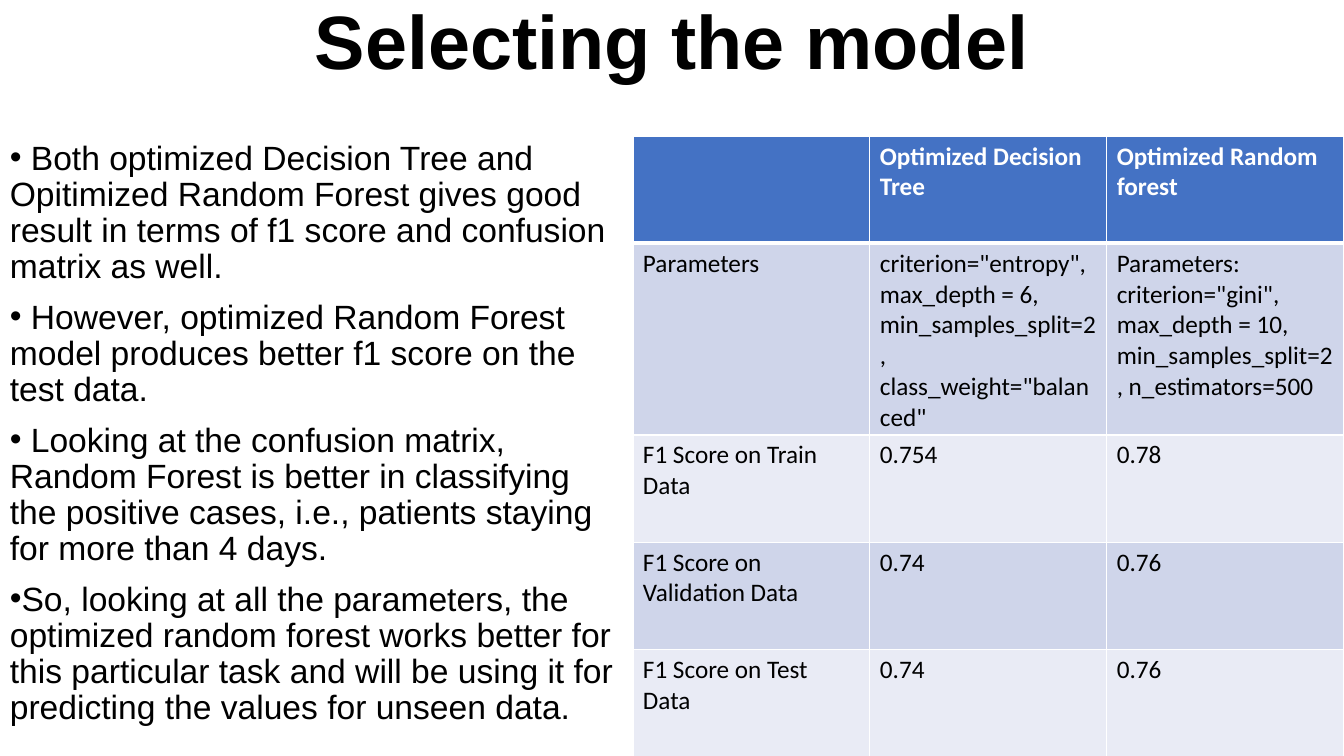
import pptx
import pptx.dml.color
import pptx.enum.text
import pptx.oxml
import pptx.oxml.ns
import pptx.util
from pptx.util import Cm

COLORS = {
    "text": "000000",
    "white": "FFFFFF",
    "header": "4472C4",
    "dark_band": "CFD5EA",
    "light_band": "E9EBF5",
}

POINTS = [
    " Both optimized Decision Tree and Opitimized Random Forest gives good result "
    "in terms of f1 score and confusion matrix as well.",
    " However, optimized Random Forest model produces better f1 score on the test data.",
    " Looking at the confusion matrix, Random Forest is better in classifying the "
    "positive cases, i.e., patients staying for more than 4 days.",
    "So, looking at all the parameters, the optimized random forest works better for "
    "this particular task and will be using it for predicting the values for unseen data.",
]

MODELS = [
    ["", "Optimized Decision Tree", "Optimized Random forest"],
    [
        "Parameters",
        'criterion="entropy", max_depth = 6, min_samples_split=2, class_weight="balanced"',
        'Parameters: criterion="gini", max_depth = 10, min_samples_split=2, n_estimators=500',
    ],
    ["F1 Score on Train Data", "0.754", "0.78"],
    ["F1 Score on Validation Data", "0.74", "0.76"],
    ["F1 Score on Test Data", "0.74", "0.76"],
]


def rgb(name):
    return pptx.dml.color.RGBColor.from_string(COLORS[name])


def element(parent, xml):
    ns = pptx.oxml.ns.nsdecls("a")
    parent.append(pptx.oxml.parse_xml(xml.replace("/>", f" {ns}/>", 1)
                                      if xml.endswith("/>") and xml.count("<") == 1
                                      else xml.replace(">", f" {ns}>", 1)))


def write(p, text, font="Arial", size=24, color="text", bold=False,
          align=None, spacing=None, before=None, bullet=None):
    r = p.add_run()
    r.text = text
    r.font.name = font
    r.font.size = pptx.util.Pt(size)
    r.font.bold = bold
    r.font.color.rgb = rgb(color)
    p.alignment = align
    p.line_spacing = spacing
    if before is not None:
        p.space_before = pptx.util.Pt(before)
    if bullet:
        pPr = p._p.get_or_add_pPr()
        pPr.set("marL", "0")
        pPr.set("indent", "0")
        element(pPr, '<a:buFont typeface="Arial"/>')
        element(pPr, f'<a:buChar char="{bullet}"/>')


class Deck:
    def __init__(self):
        self.prs = pptx.Presentation()
        self.prs.slide_width = Cm(33.87)
        self.prs.slide_height = Cm(19.05)
        self.s = self.prs.slides.add_slide(self.prs.slide_layouts[5])

    def title(self, text, left, top, width, height):
        sp = self.s.shapes.title
        sp.left, sp.top, sp.width, sp.height = map(Cm, (left, top, width, height))
        tf = sp.text_frame
        tf.margin_top = tf.margin_bottom = 0
        tf.vertical_anchor = pptx.enum.text.MSO_ANCHOR.MIDDLE
        write(tf.paragraphs[0], text, size=54, bold=True, spacing=0.9,
              align=pptx.enum.text.PP_ALIGN.CENTER)

    def bullets(self, points, left, top, width, height):
        sp = self.s.shapes.add_textbox(*map(Cm, (left, top, width, height)))
        tf = sp.text_frame
        tf.word_wrap = True
        for i, point in enumerate(points):
            p = tf.add_paragraph() if i else tf.paragraphs[0]
            write(p, point, spacing=0.9, before=10, bullet="•")

    def border(self, cell, side, width):
        element(
            cell._tc.get_or_add_tcPr(),
            f'<a:{side} w="{pptx.util.Pt(width)}"><a:solidFill>'
            f'<a:srgbClr val="{COLORS["white"]}"/></a:solidFill></a:{side}>',
        )

    def table(self, rows, left, top, col_width, heights):
        width = col_width * len(rows[0])
        frame = self.s.shapes.add_table(
            len(rows), len(rows[0]), *map(Cm, (left, top, width, sum(heights))))
        table = frame.table
        for column in table.columns:
            column.width = Cm(col_width)
        for i, (row, height) in enumerate(zip(rows, heights)):
            table.rows[i].height = Cm(height)
            band = "dark_band" if i % 2 else "light_band"
            for j, text in enumerate(row):
                cell = table.cell(i, j)
                for side in ("lnL", "lnR", "lnT", "lnB"):
                    thick = (i, side) in ((0, "lnB"), (1, "lnT"))
                    self.border(cell, side, 3 if thick else 1)
                cell.fill.solid()
                cell.fill.fore_color.rgb = rgb(band if i else "header")
                if text:
                    write(cell.text_frame.paragraphs[0], text, font="Calibri", size=18,
                          color="text" if i else "white", bold=i == 0)


def main():
    deck = Deck()
    deck.title("Selecting the model", 4.23, 0.15, 25.4, 1.98)
    deck.bullets(POINTS, 0, 3.43, 15.95, 15.62)
    deck.table(MODELS, 15.95, 3.43, 5.97, [2.7, 4.83, 2.7, 2.7, 2.7])
    deck.prs.save("out.pptx")


if __name__ == "__main__":
    main()
